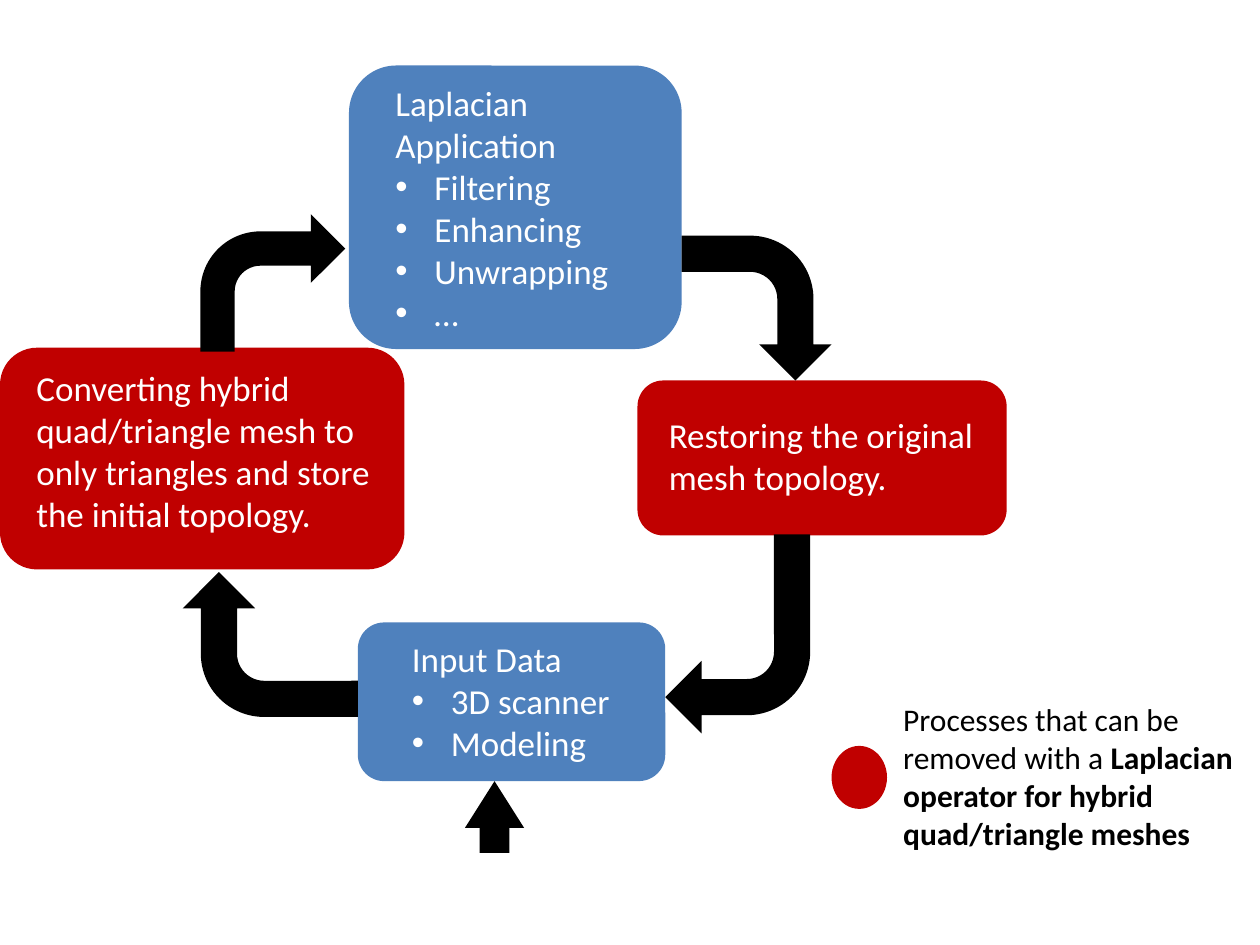
from lxml.etree import SubElement
from pptx import Presentation
from pptx.dml.color import RGBColor
from pptx.enum.shapes import MSO_SHAPE
from pptx.enum.text import MSO_AUTO_SIZE
from pptx.oxml.ns import qn
from pptx.util import Inches, Pt

BLUE = RGBColor(0x4F, 0x81, 0xBD)
RED = RGBColor(0xC0, 0x00, 0x00)
BLACK = RGBColor(0, 0, 0)
WHITE = RGBColor(0xFF, 0xFF, 0xFF)
BULLET_INDENT = Inches(0.31)

# Each stage: fill, box frame, label frame, wrap, heading, bulleted items
STAGES = [
    (BLUE, (2.84, 4.94, 2.44, 1.26), (3.17, 5.01, 1.79, 1.11), False,
     "Input Data", ["3D scanner", "Modeling"]),
    (BLUE, (2.77, 0.52, 2.64, 2.25), (3.04, 0.6, 2.37, 2.17), True,
     "Laplacian Application", ["Filtering", "Enhancing", "Unwrapping", "…"]),
    (RED, (0, 2.76, 3.21, 1.76), (0.19, 2.86, 2.92, 1.48), True,
     "Converting hybrid quad/triangle mesh to only triangles "
     "and store the initial topology.", []),
    (RED, (5.06, 3.02, 2.93, 1.23), (5.21, 3.23, 2.84, 0.78), True,
     "Restoring the original mesh topology.", []),
]
# Frames of the cycle arrows; each one turns a further 90 degrees
CYCLE_ARROWS = [
    (1.59, 1.7, 1.15, 1.09),
    (5.43, 1.85, 1.15, 1.19),
    (5.28, 4.24, 1.15, 1.58),
    (1.57, 4.42, 1.15, 1.39),
]
INPUT_ARROW = (3.69, 6.2, 0.47, 0.57)
LEGEND_MARK = (6.6, 5.92, 0.44, 0.5)
LEGEND_FRAME = (7.07, 5.51, 3.05, 1.31)
LEGEND_RUNS = [
    ("Processes that can be removed with a ", False),
    ("Laplacian operator for hybrid quad/triangle meshes", True),
]


def add_solid(slide, kind, frame, color):
    """Add a filled preset shape without outline or shadow."""
    shape = slide.shapes.add_shape(kind, *map(Inches, frame))
    shape.shadow.inherit = False
    shape.fill.solid()
    shape.fill.fore_color.rgb = color
    shape.line.fill.background()
    return shape


def add_text(slide, frame, wrap=True):
    """Add an empty text box and return its text frame."""
    text_frame = slide.shapes.add_textbox(*map(Inches, frame)).text_frame
    text_frame.word_wrap = wrap
    text_frame.auto_size = MSO_AUTO_SIZE.SHAPE_TO_FIT_TEXT
    return text_frame


def set_font(paragraph, size, color):
    """Format a whole paragraph."""
    paragraph.font.name = "Calibri"
    paragraph.font.size = Pt(size)
    paragraph.font.color.rgb = color


def set_bullet(paragraph):
    """Give a paragraph a round bullet with a hanging indent."""
    properties = paragraph._p.get_or_add_pPr()
    properties.set("marL", str(BULLET_INDENT))
    properties.set("indent", str(-BULLET_INDENT))
    bullet_font = properties.makeelement(qn("a:buFont"), {"typeface": "Arial"})
    properties.insert(0, bullet_font)
    bullet = SubElement(properties, qn("a:buChar"), char="•")
    bullet_font.addnext(bullet)


def add_stage(slide, color, box, label, wrap, heading, items):
    """Add a rounded box with its heading and bulleted items."""
    add_solid(slide, MSO_SHAPE.ROUNDED_RECTANGLE, box, color)
    text_frame = add_text(slide, label, wrap)
    text_frame.text = "\n".join([heading, *items])
    for index, paragraph in enumerate(text_frame.paragraphs):
        set_font(paragraph, 20, WHITE)
        if index:
            set_bullet(paragraph)


def add_legend(slide):
    """Add the explanation of the red processes."""
    paragraph = add_text(slide, LEGEND_FRAME).paragraphs[0]
    set_font(paragraph, 18, BLACK)
    for text, bold in LEGEND_RUNS:
        run = paragraph.add_run()
        run.text = text
        run.font.bold = bold
    add_solid(slide, MSO_SHAPE.FLOWCHART_CONNECTOR, LEGEND_MARK, RED)


presentation = Presentation()
presentation.slide_width = Inches(10)
presentation.slide_height = Inches(7.5)
slide = presentation.slides.add_slide(presentation.slide_layouts[6])

for stage in STAGES:
    add_stage(slide, *stage)
for turn, frame in enumerate(CYCLE_ARROWS):
    add_solid(slide, MSO_SHAPE.BENT_ARROW, frame, BLACK).rotation = 90 * turn
input_arrow = add_solid(slide, MSO_SHAPE.UP_ARROW, INPUT_ARROW, BLACK)
input_arrow.adjustments[1] = 0.79
add_legend(slide)

presentation.save("out.pptx")
